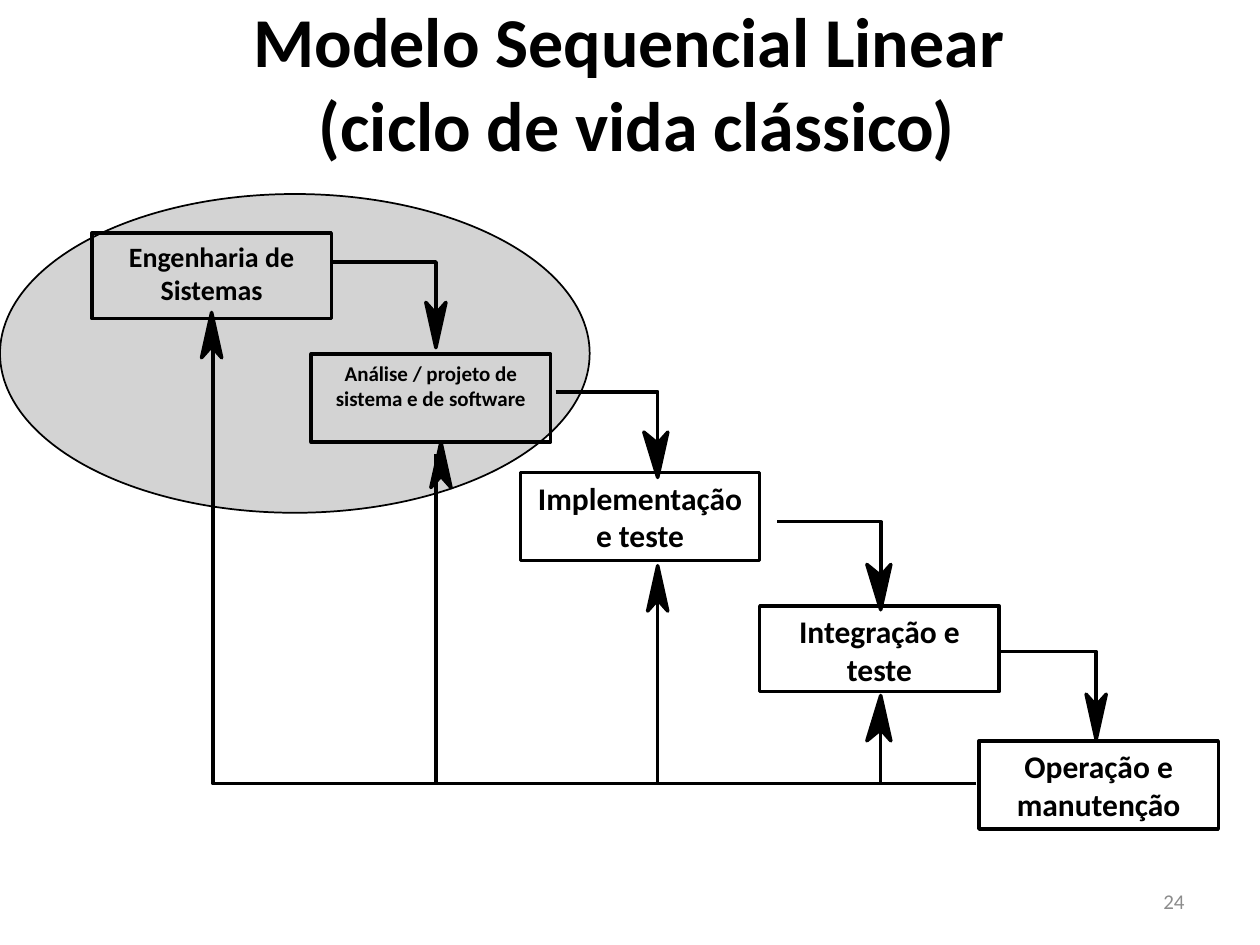
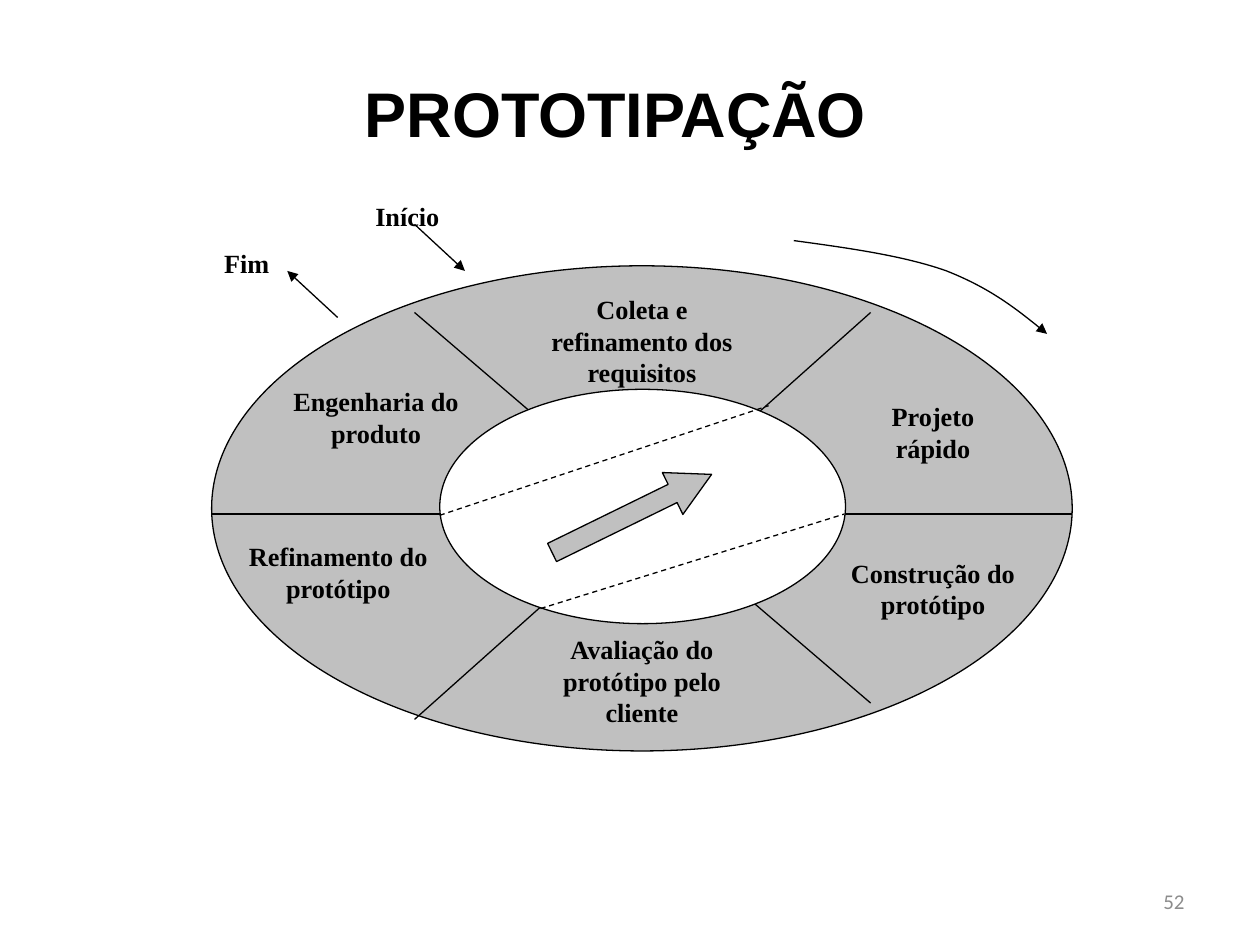
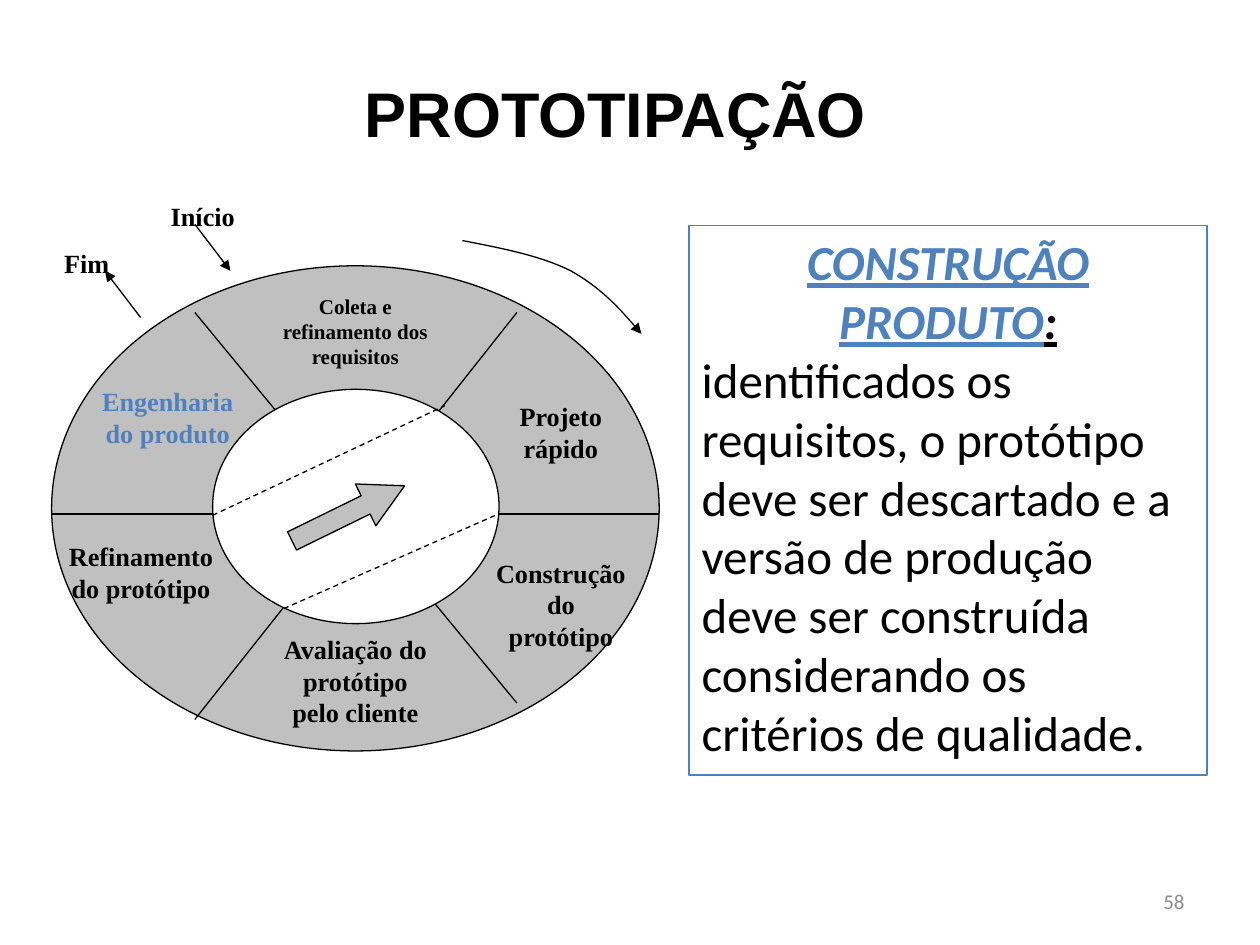
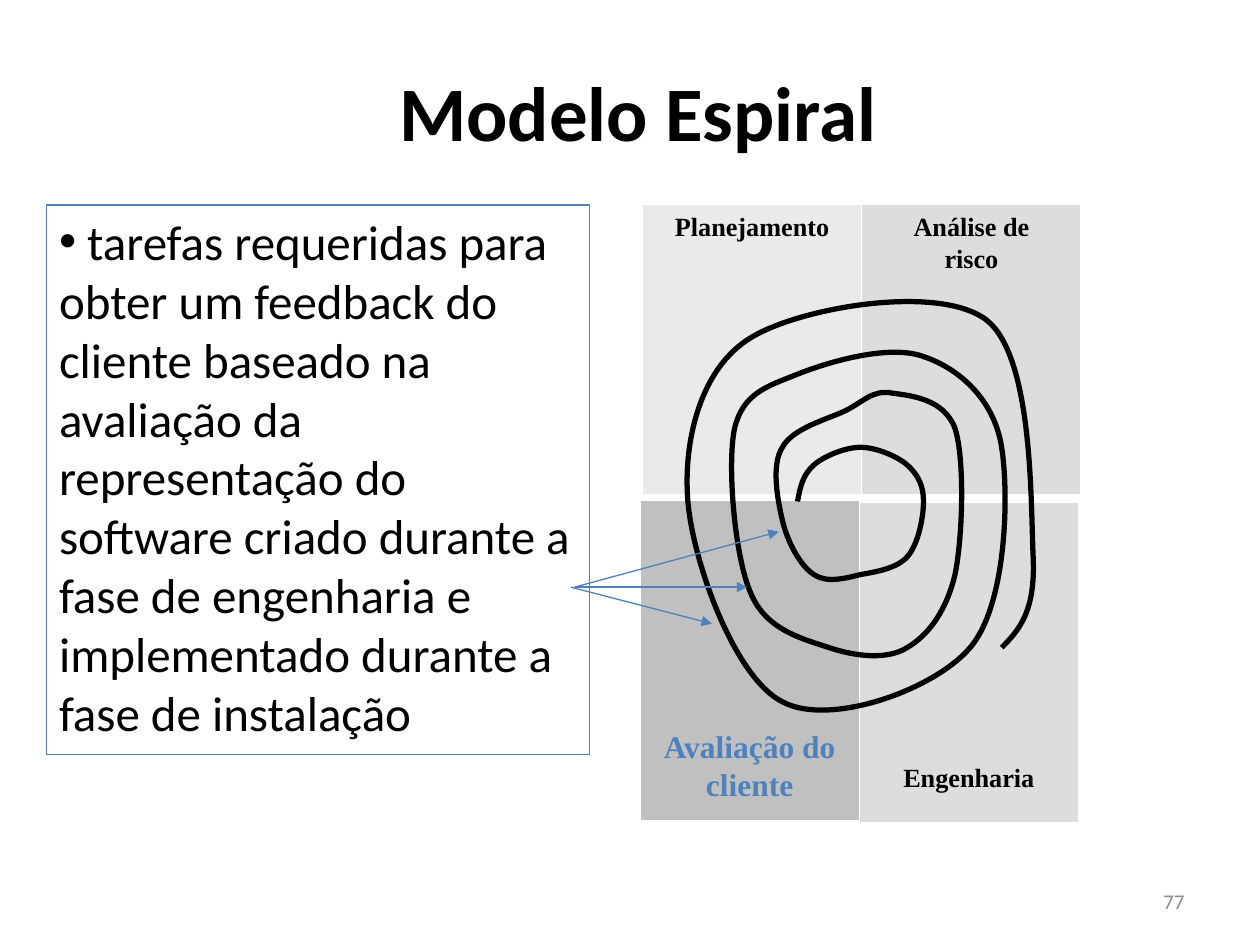
from lxml.etree import SubElement
from pptx import Presentation
from pptx.dml.color import RGBColor
from pptx.enum.dml import MSO_LINE
from pptx.enum.shapes import MSO_CONNECTOR, MSO_SHAPE
from pptx.enum.text import MSO_ANCHOR as Anchor, MSO_AUTO_SIZE as AutoSize, PP_ALIGN as Align
from pptx.oxml.ns import qn
from pptx.util import Inches, Pt

COLORS = {
    "black": "000000", "white": "FFFFFF", "accent": "4F81BD", "number": "8C8C8C",
    "halo": "D3D3D3", "ring": "C0C0C0", "pale": "EAEAEA", "light": "DDDDDD",
}
SERIF = "Times New Roman"
HUNDREDTH = Inches(0.01)  # unit of the freeform coordinates


def paint(shape, fill=None, line="black", width=0.75, dash=False, tail=False, curved=False):
    """Set fill and outline, drop the shadow, optionally turn segments into curves."""
    if fill:
        shape.fill.solid()
        shape.fill.fore_color.rgb = RGBColor.from_string(COLORS[fill])
    elif hasattr(shape, "fill"):
        shape.fill.background()
    shape.line.color.rgb = RGBColor.from_string(COLORS[line])
    shape.line.width = Pt(width)
    if dash:
        shape.line.dash_style = MSO_LINE.DASH
    properties = shape._element.spPr
    if tail:
        SubElement(properties.find(qn("a:ln")), qn("a:tailEnd"), type="triangle")
    SubElement(properties, qn("a:effectLst"))
    if curved:
        segments = list(properties.iter(qn("a:lnTo")))
        for start in range(0, len(segments), 3):
            parent = segments[start].getparent()
            bezier = SubElement(parent, qn("a:cubicBezTo"))
            for segment in segments[start:start + 3]:
                bezier.append(segment[0])
                parent.remove(segment)


def write(shape, lines, size, font="Calibri", ink="black", align=Align.CENTER,
          anchor=Anchor.TOP, **style):
    """Fill a shape with paragraphs that share one format."""
    frame = shape.text_frame
    frame_look = {
        "word_wrap": True, "auto_size": AutoSize.NONE, "vertical_anchor": anchor,
        "margin_left": Inches(0.1), "margin_right": Inches(0.1),
        "margin_top": Inches(0.05), "margin_bottom": Inches(0.05),
    }
    for name, value in frame_look.items():
        setattr(frame, name, value)
    for index, line in enumerate(lines):
        para = frame.add_paragraph() if index else frame.paragraphs[0]
        para.text = line
        para.alignment = align
        for span in para.runs:
            for name, value in {"name": font, "size": Pt(size), **style}.items():
                setattr(span.font, name, value)
            span.font.color.rgb = RGBColor.from_string(COLORS[ink])
        for line_break in para._p.findall(qn("a:br")):
            SubElement(line_break, qn("a:rPr"), sz=str(size * 100))


deck = Presentation()
deck.slide_width, deck.slide_height = Inches(10), Inches(7.5)

# Pages with their titles and numbers
headings = [
    ("Modelo Sequencial Linear \v(ciclo de vida clássico)", "24", (0.43, 0.13, 9.25, 1.03),
     {"size": 40, "anchor": Anchor.MIDDLE}),
    ("PROTOTIPAÇÃO", "52", (0.75, 0.21, 8.27, 1.03),
     {"size": 36, "font": "Arial", "anchor": Anchor.BOTTOM}),
    ("PROTOTIPAÇÃO", "58", (0.75, 0.21, 8.27, 1.03),
     {"size": 36, "font": "Arial", "anchor": Anchor.BOTTOM}),
    ("Modelo Espiral", "77", (0.8, 0.27, 8.53, 1.21),
     {"size": 44, "anchor": Anchor.MIDDLE}),
]
pages = []
for heading, number, place, look in headings:
    page = deck.slides.add_slide(deck.slide_layouts[5])
    title = page.shapes.title
    title.left, title.top, title.width, title.height = map(Inches, place)
    write(title, [heading], bold=True, **look)
    box = page.shapes.add_textbox(Inches(7.6), Inches(6.95), Inches(1.9), Inches(0.4))
    write(box, [number], 12, ink="number", align=Align.RIGHT, anchor=Anchor.MIDDLE)
    pages.append(page)
waterfall, cycle, cycle_note, spiral_page = pages

# Waterfall: highlighted area and stages
shapes = waterfall.shapes
halo = shapes.add_shape(MSO_SHAPE.OVAL, 0, Inches(1.54), Inches(4.68), Inches(2.53))
paint(halo, "halo", width=1)
stages = [
    ("Engenharia de Sistemas", 0.73, 1.85, 0.68, 16),
    ("Análise / projeto de sistema e de software", 2.47, 2.81, 0.7, 12),
    ("Implementação e teste", 4.13, 3.75, 0.7, 18),
    ("Integração e teste", 6.03, 4.81, 0.68, 18),
    ("Operação e manutenção", 7.77, 5.88, 0.7, 18),
]
for label, left, top, height, size in stages:
    box = shapes.add_shape(MSO_SHAPE.RECTANGLE, Inches(left), Inches(top),
                           Inches(1.9), Inches(height))
    paint(box, width=2)
    write(box, [label], size, bold=True)

# Waterfall: feedback risers
for x, top, width in [(3.46, 3.6, 2.25), (5.22, 4.65, 2), (6.99, 5.71, 2)]:
    riser = shapes.add_connector(MSO_CONNECTOR.STRAIGHT, Inches(x), Inches(top),
                                 Inches(x), Inches(6.22))
    paint(riser, width=width)

# Waterfall: elbows and arrowheads (tip, direction, reach of the left wing)
outlines = [([(775, 622), (169, 622), (169, 254)], None)]
for x1, y1, x2, y2 in [(264, 208, 346, 262), (441, 311, 522, 368),
                       (617, 414, 699, 471), (794, 517, 870, 574)]:
    outlines.append(([(x1, y1), (x2, y1), (x2, y2)], None))
DOWN, UP = 1, -1
for x, y, way, wing in [(346, 276, DOWN, 8), (522, 379, DOWN, 11), (699, 484, DOWN, 11),
                        (870, 587, DOWN, 8), (168, 248, UP, 8), (350, 351, UP, 8),
                        (522, 449, UP, 8), (699, 552, UP, 11)]:
    outlines.append(([(x, y - 27 * way), (x + 8, y - 36 * way), (x, y),
                      (x - wing, y - 36 * way)], "black"))
for points, fill in outlines:
    builder = shapes.build_freeform(*points[0], scale=HUNDREDTH)
    builder.add_line_segments(points[1:], close=bool(fill))
    paint(builder.convert_to_shape(), fill, width=2)

# Prototyping wheel: x counts from the left edge of the ring
wheel_parts = [
    ("oval", (0, 2.11, 6.83, 3.85), {"fill": "ring"}),
    ("line", (1.61, 2.48, 5.23, 5.58), {}),
    ("line", (5.23, 2.48, 1.61, 5.71), {}),
    ("line", (6.83, 4.08, 0, 4.08), {}),
    ("oval", (1.81, 3.09, 3.22, 1.86), {"fill": "white"}),
    ("line", (1.81, 4.09, 4.42, 3.22), {"dash": True}),
    ("line", (2.61, 4.83, 5.02, 4.08), {"dash": True}),
    ("line", (1, 2.52, 0.6, 2.15), {"tail": True}),
    ("line", (1.61, 1.78, 2.01, 2.15), {"tail": True}),
]
wheel_labels = [
    ("Coleta e refinamento dos requisitos", 2.41, 2.28, 2.01, 0.75, Align.CENTER),
    ("Refinamento do protótipo", 0, 4.24, 2.01, 0.95, Align.CENTER),
    ("Engenharia do produto", 0.4, 3.01, 1.81, 0.83, Align.CENTER),
    ("Projeto rápido", 5.02, 3.13, 1.41, 0.9, Align.CENTER),
    ("Construção do protótipo", 4.82, 4.37, 1.81, 0.83, Align.CENTER),
    ("Avaliação do protótipo pelo cliente", 2.41, 4.98, 2.01, 0.98, Align.CENTER),
    ("Fim", 0, 1.91, 1, 0.37, Align.LEFT),
    ("Início", 1.2, 1.54, 1.21, 0.37, Align.LEFT),
]
sweep = [(462, 191), (506, 197), (549, 203), (583, 215), (616, 228), (640, 246), (663, 265)]
wheels = [
    (cycle, 1.68, 1, {}),
    (cycle_note, 0.41, 0.706, {
        "Coleta e refinamento dos requisitos": {"size": 12},
        "Engenharia do produto": {"ink": "accent"},
    }),
]
for page, left, stretch, changes in wheels:
    shapes = page.shapes
    for kind, (x, y, x2, y2), look in wheel_parts:
        start = Inches(left + x * stretch), Inches(y)
        if kind == "oval":
            part = shapes.add_shape(MSO_SHAPE.OVAL, *start, Inches(x2 * stretch), Inches(y2))
        else:
            part = shapes.add_connector(MSO_CONNECTOR.STRAIGHT, *start,
                                        Inches(left + x2 * stretch), Inches(y2))
        paint(part, **look)

    # Central arrow, placed by its middle
    length = 1.41 * stretch
    arrow = shapes.add_shape(MSO_SHAPE.UP_ARROW, Inches(left + 3.335 * stretch - 0.185),
                             Inches(4.075 - length / 2), Inches(0.37), Inches(length))
    arrow.adjustments[0], arrow.adjustments[1] = 0.436, 0.932
    arrow.rotation = 63.9
    paint(arrow, "ring")

    # Turning direction
    points = [(left * 100 + x * stretch, y) for x, y in sweep]
    builder = shapes.build_freeform(*points[0], scale=HUNDREDTH)
    builder.add_line_segments(points[1:], close=False)
    paint(builder.convert_to_shape(), tail=True, curved=True)

    for label, x, y, width, height, align in wheel_labels:
        box = shapes.add_textbox(Inches(left + x * stretch), Inches(y),
                                 Inches(width * stretch), Inches(height))
        look = {"size": 15, **changes.get(label, {})}
        write(box, [label], font=SERIF, align=align, bold=True, **look)

# Spiral: quadrants
shapes = spiral_page.shapes
quadrants = [
    (["Planejamento"], 5.1, 1.62, 2.31, "pale", 0.05, {"size": 15}),
    (["Engenharia"], 6.82, 3.99, 2.54, "light", 0.24, {"size": 15, "anchor": Anchor.BOTTOM}),
    (["Análise de", "risco"], 6.84, 1.62, 2.31, "light", 0.05, {"size": 15}),
    (["Avaliação do cliente"], 5.08, 3.97, 2.54, "ring", 0.14,
     {"size": 18, "ink": "accent", "anchor": Anchor.BOTTOM}),
]
for lines, left, top, height, fill, margin, look in quadrants:
    box = shapes.add_shape(MSO_SHAPE.RECTANGLE, Inches(left), Inches(top),
                           Inches(1.74), Inches(height))
    paint(box, fill, "white")
    write(box, lines, font=SERIF, bold=True, **look)
    box.text_frame.margin_bottom = Inches(margin)

# Spiral: curve, one start point and then three points for each arc
spiral = [
    633, 398,
    635, 387, 637, 377, 646, 369, 654, 362, 671, 355, 683, 355,
    695, 355, 712, 362, 720, 369, 729, 377, 733, 386, 733, 398,
    733, 410, 729, 432, 720, 442, 712, 451, 695, 454, 683, 456,
    671, 459, 656, 463, 646, 456, 635, 449, 625, 430, 621, 413,
    617, 396, 612, 369, 621, 355, 629, 340, 656, 333, 671, 326,
    685, 319, 693, 309, 708, 312, 722, 314, 749, 316, 758, 340,
    766, 365, 764, 427, 758, 456, 751, 485, 737, 504, 720, 514,
    704, 524, 679, 521, 658, 514, 637, 507, 608, 500, 596, 471,
    583, 442, 577, 369, 583, 340, 590, 312, 608, 307, 633, 297,
    658, 287, 706, 273, 733, 283, 760, 292, 789, 316, 795, 355,
    801, 393, 799, 480, 770, 514, 741, 548, 658, 577, 621, 557,
    583, 538, 550, 446, 546, 398, 542, 350, 556, 292, 596, 268,
    635, 244, 745, 225, 783, 254, 820, 283, 818, 398, 820, 442,
    822, 485, 809, 500, 795, 514,
]
points = list(zip(spiral[::2], spiral[1::2]))
builder = shapes.build_freeform(*points[0], scale=HUNDREDTH)
builder.add_line_segments(points[1:], close=False)
paint(builder.convert_to_shape(), width=3, curved=True)

# Spiral: pointers to the client evaluation
for x, x2, y2 in [(4.56, 6.18, 4.22), (4.56, 5.93, 4.66), (4.53, 5.65, 4.95)]:
    pointer = shapes.add_connector(MSO_CONNECTOR.STRAIGHT, Inches(x), Inches(4.66),
                                   Inches(x2), Inches(y2))
    paint(pointer, line="accent", tail=True)

# Framed notes
notes = [
    (cycle_note, 5.47, 1.79, 4.11, [
        "CONSTRUÇÃO PRODUTO",
        "identificados os requisitos, o protótipo deve ser descartado e a versão de produção "
        "deve ser construída considerando os critérios de qualidade."]),
    (spiral_page, 0.37, 1.63, 4.31, [
        " tarefas requeridas para obter um feedback do cliente baseado na avaliação da "
        "representação do software criado durante a fase de engenharia e implementado "
        "durante a fase de instalação"]),
]
frames = []
for page, left, top, width, lines in notes:
    note = page.shapes.add_shape(MSO_SHAPE.RECTANGLE, Inches(left), Inches(top),
                                 Inches(width), Inches(4.36))
    paint(note, line="accent", width=1)
    write(note, lines, 28, align=Align.LEFT)
    note.text_frame.auto_size = AutoSize.SHAPE_TO_FIT_TEXT
    frames.append(note.text_frame)

# Emphasised lead of the first note
lead = frames[0].paragraphs[0]
lead.alignment = Align.CENTER
lead.add_run().text = ":"
for span, ink in zip(lead.runs, ["accent", "black"]):
    for name, value in {"name": "Calibri", "size": Pt(28), "bold": True,
                        "italic": True, "underline": True}.items():
        setattr(span.font, name, value)
    span.font.color.rgb = RGBColor.from_string(COLORS[ink])

# Bullet of the second note
bullet_format = frames[1].paragraphs[0]._p.get_or_add_pPr()
SubElement(bullet_format, qn("a:buFont"), typeface="Arial")
SubElement(bullet_format, qn("a:buChar"), char="•")

deck.save("out.pptx")
